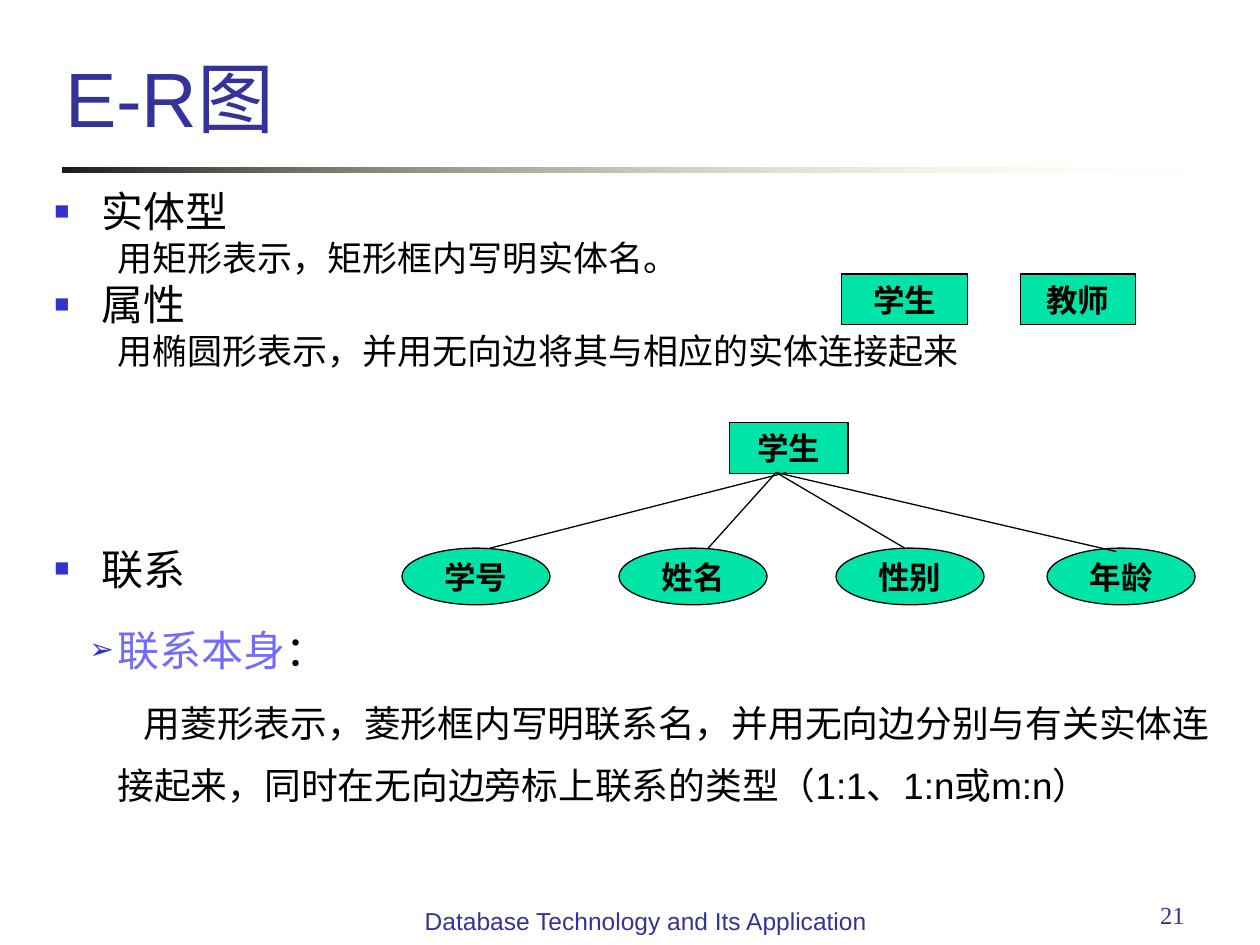
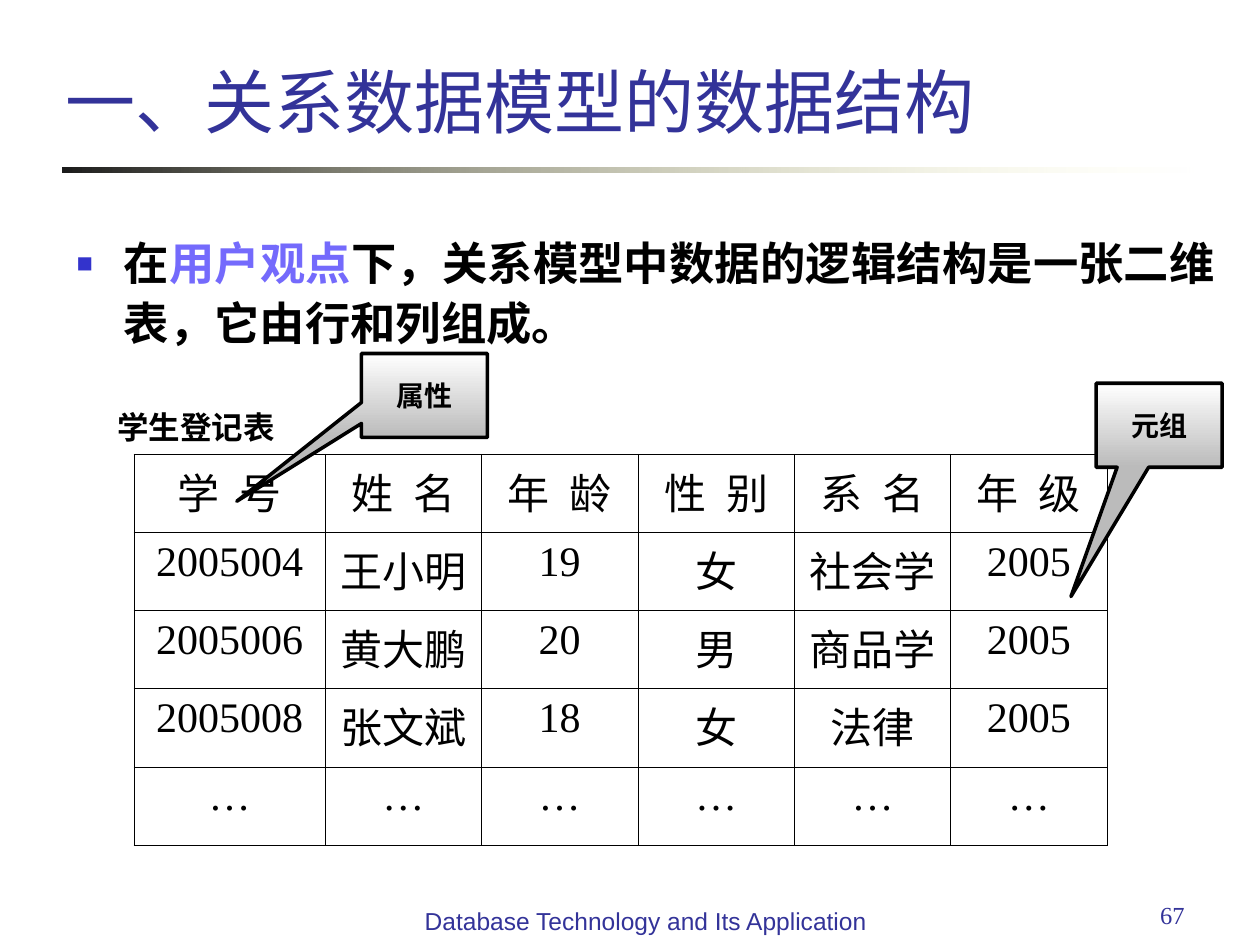
from collections import namedtuple
from dataclasses import dataclass

from lxml.etree import SubElement
from pptx import Presentation
from pptx.dml.color import RGBColor
from pptx.enum.shapes import MSO_CONNECTOR, MSO_SHAPE
from pptx.enum.text import MSO_ANCHOR, PP_ALIGN
from pptx.oxml.ns import qn
from pptx.util import Pt

Box = namedtuple("Box", "left top width height")


@dataclass(frozen=True)
class Theme:
    navy: str = "333399"
    ink: str = "000000"
    accent: str = "746AFC"
    bullet: str = "3333CC"
    node: str = "00E4A8"
    rule: tuple = ("1C1C1C", "FFFFB7")
    callout: tuple = ("FFFFFF", "BBBBBB")
    sans: str = "Arial"
    serif: str = "Times New Roman"
    heading: float = 24
    detail: float = 20
    note: float = 21
    lead: float = 25.9
    label: float = 18
    tag: float = 16
    footer: float = 14


THEME = Theme()
TITLE = Box(30, 0, 632, 85)
RULE = Box(36, 95.6, 648, 3)
NUMBER = Box(516, 510.5, 168, 37)
FOOTER = Box(230, 514, 278, 37)


def in_points(box):
    return [Pt(length) for length in box]


def style(font, size, name=THEME.sans, color=THEME.ink, bold=False):
    font.size, font.name, font.bold = Pt(size), name, bold
    font.color.rgb = RGBColor.from_string(color)


def add_bullet(para, mark, percent, margin, hang):
    props = para._p.get_or_add_pPr()
    props.set("marL", str(Pt(margin)))
    props.set("indent", str(Pt(hang)))
    if not mark:
        SubElement(props, qn("a:buNone"))
        return
    color = SubElement(props, qn("a:buClr"))
    SubElement(color, qn("a:srgbClr"), val=THEME.bullet)
    SubElement(props, qn("a:buSzPct"), val=str(percent * 1000))
    SubElement(props, qn("a:buFont"), typeface=THEME.sans)
    SubElement(props, qn("a:buChar"), char=mark)


def fill_gradient(shape, colors, angle):
    shape.fill.gradient()
    shape.fill.gradient_angle = angle
    for stop, color in zip(shape.fill.gradient_stops, colors):
        stop.color.rgb = RGBColor.from_string(color)


def add_text(page, box, text, size, name, color=THEME.ink, align=PP_ALIGN.CENTER,
             bold=False, wrap=True):
    frame = page.shapes.add_textbox(*in_points(box)).text_frame
    frame.word_wrap = wrap
    para = frame.paragraphs[0]
    para.text, para.alignment = text, align
    style(para.font, size, name, color, bold)


def add_labelled_shape(page, kind, box, text, size, line_width):
    shape = page.shapes.add_shape(kind, *in_points(box))
    shape.shadow.inherit = False
    shape.line.color.rgb = RGBColor.from_string(THEME.ink)
    shape.line.width = Pt(line_width)
    frame = shape.text_frame
    frame.word_wrap = False
    frame.vertical_anchor = MSO_ANCHOR.MIDDLE
    para = frame.paragraphs[0]
    para.text, para.alignment = text, PP_ALIGN.CENTER
    style(para.font, size, THEME.serif, bold=True)
    return shape


def add_page(deck, title, title_size, number):
    """Title, fading rule, footer and page number."""
    page = deck.slides.add_slide(deck.slide_layouts[5])
    holder = page.shapes.title
    holder.left, holder.top, holder.width, holder.height = in_points(TITLE)
    frame = holder.text_frame
    frame.vertical_anchor = MSO_ANCHOR.BOTTOM
    para = frame.paragraphs[0]
    para.text, para.alignment = title, PP_ALIGN.LEFT
    style(para.font, title_size, color=THEME.navy)

    rule = page.shapes.add_shape(MSO_SHAPE.RECTANGLE, *in_points(RULE))
    rule.shadow.inherit = False
    rule.line.fill.background()
    fill_gradient(rule, THEME.rule, 0)
    last_color = rule._element.spPr.findall(".//" + qn("a:srgbClr"))[-1]
    SubElement(last_color, qn("a:alpha"), val="0")

    add_text(page, NUMBER, str(number), THEME.footer, THEME.serif, THEME.navy, PP_ALIGN.RIGHT)
    add_text(page, FOOTER, "Database Technology and Its Application",
             THEME.footer, THEME.sans, THEME.navy)
    return page


# Slide on E-R diagrams
def add_notation(page, box):
    heading = dict(size=THEME.heading, bullet=("■", 60, 27, -27), spacing=0.8)
    detail = dict(size=THEME.detail, bullet=(None, 0, 36, 0), spacing=0.8)
    relation = dict(size=THEME.heading, bullet=("➢", 70, 36, -16), spacing=1.4)
    note = dict(size=THEME.note, bullet=(None, 0, 36, 15), spacing=1.4)
    rows = [
        ("实体型", heading, 0),
        ("用矩形表示，矩形框内写明实体名。", detail, 5),
        ("属性", heading, 6),
        ("用椭圆形表示，并用无向边将其与相应的实体连接起来", detail, 5),
        ("联系", heading, 104),
        ("联系本身：", relation, 6),
        ("用菱形表示，菱形框内写明联系名，并用无向边分别与有关实体连接起来，"
         "同时在无向边旁标上联系的类型（1:1、1:n或m:n）", note, 5.2),
    ]
    frame = page.shapes.add_textbox(*in_points(box)).text_frame
    frame.word_wrap = True
    for index, (text, look, before) in enumerate(rows):
        para = frame.add_paragraph() if index else frame.paragraphs[0]
        add_bullet(para, *look["bullet"])
        para.line_spacing, para.space_before = look["spacing"], Pt(before)
        style(para.font, look["size"])
        if look is relation:
            span = para.add_run()
            span.text = text[:-1]
            span.font.color.rgb = RGBColor.from_string(THEME.accent)
            text = text[-1]
        para.add_run().text = text


def add_node(page, kind, box, text):
    node = add_labelled_shape(page, kind, box, text, THEME.label, 0.75)
    node.fill.solid()
    node.fill.fore_color.rgb = RGBColor.from_string(THEME.node)


def add_edge(page, start, end):
    edge = page.shapes.add_connector(MSO_CONNECTOR.STRAIGHT, *in_points(start + end))
    edge.line.color.rgb = RGBColor.from_string(THEME.ink)
    edge.line.width = Pt(0.75)
    SubElement(edge._element.spPr, qn("a:effectLst"))


def add_attribute_tree(page, box):
    oval_width, oval_height = 84.6, 32.4
    oval_top = box.top + box.height - oval_height
    add_node(page, MSO_SHAPE.RECTANGLE, Box(box.left + 187.2, box.top, 67.7, 29), "学生")
    # Name, oval offset, edge start offset, edge end offset, edge overlap
    attributes = [("学号", 0, 219.6, 50.4, 0), ("姓名", 124, 213.8, 175, 0),
                  ("性别", 248, 213.8, 287.3, 0), ("年龄", 368.6, 213.8, 408.2, 2)]
    for name, offset, *_ in attributes:
        add_node(page, MSO_SHAPE.OVAL,
                 Box(box.left + offset, oval_top, oval_width, oval_height), name)
    for _, _, start, end, overlap in attributes:
        add_edge(page, (box.left + start, box.top + 28.4),
                 (box.left + end, oval_top + overlap))


def build_diagram_page(deck):
    page = add_page(deck, "E-R图", 44, 21)
    add_notation(page, Box(24, 108, 681, 375))
    for text, left, width in [("学生", 481, 72), ("教师", 583, 66)]:
        add_node(page, MSO_SHAPE.RECTANGLE, Box(left, 156.6, width, 29), text)
    add_attribute_tree(page, Box(229.7, 241.6, 453.2, 104))


# Slide on the relational data structure
def add_statement(page, box):
    frame = page.shapes.add_textbox(*in_points(box)).text_frame
    frame.word_wrap = True
    para = frame.paragraphs[0]
    add_bullet(para, "■", 60, 27, -27)
    para.alignment, para.line_spacing = PP_ALIGN.JUSTIFY, 1.1
    style(para.font, THEME.lead, bold=True)
    for text, color in [("在", THEME.ink), ("用户观点", THEME.accent),
                        ("下，关系模型中数据的逻辑结构是一张二维表，它由行和列组成。", THEME.ink)]:
        span = para.add_run()
        span.text = text
        span.font.color.rgb = RGBColor.from_string(color)


def outline_cell(cell):
    props = cell._tc.get_or_add_tcPr()
    for side in ("lnL", "lnR", "lnT", "lnB"):
        line = SubElement(props, qn("a:" + side), w=str(Pt(0.45)))
        fill = SubElement(line, qn("a:solidFill"))
        SubElement(fill, qn("a:srgbClr"), val=THEME.ink)
    cell.fill.background()


def add_student_table(page, box):
    rows = [
        ["学 号", "姓 名", "年 龄", "性 别", "系 名", "年 级"],
        ["2005004", "王小明", "19", "女", "社会学", "2005"],
        ["2005006", "黄大鹏", "20", "男", "商品学", "2005"],
        ["2005008", "张文斌", "18", "女", "法律", "2005"],
        ["…"] * 6,
    ]
    table = page.shapes.add_table(len(rows), len(rows[0]), *in_points(box)).table
    table.first_row = table.horz_banding = False
    first_width = 109.2
    other_width = (box.width - first_width) / (len(rows[0]) - 1)
    for index, column in enumerate(table.columns):
        column.width = Pt(other_width if index else first_width)
    for row_index, row in enumerate(rows):
        table.rows[row_index].height = Pt(box.height / len(rows))
        for column_index, text in enumerate(row):
            cell = table.cell(row_index, column_index)
            outline_cell(cell)
            para = cell.text_frame.paragraphs[0]
            para.text, para.alignment = text, PP_ALIGN.CENTER
            style(para.font, THEME.heading, THEME.serif)
            if row_index == 0:
                para.runs[0]._r.get_or_add_rPr().set("spc", "300")


def add_callout(page, box, text, tip):
    callout = add_labelled_shape(page, MSO_SHAPE.RECTANGULAR_CALLOUT, box, text, THEME.tag, 2)
    fill_gradient(callout, THEME.callout, 270)
    callout.adjustments[0], callout.adjustments[1] = tip


def build_table_page(deck):
    page = add_page(deck, "一、关系数据模型的数据结构", 40, 67)
    add_statement(page, Box(36.7, 128, 664.6, 79))
    add_student_table(page, Box(76.6, 259.5, 556.2, 223.5))
    add_text(page, Box(33, 229.7, 158, 29), "学生登记表", THEME.label, THEME.serif,
             bold=True, wrap=False)
    add_callout(page, Box(206.6, 202, 72, 48), "属性", (-1.49, 1.26))
    add_callout(page, Box(626.4, 219, 72, 48), "元组", (-0.7, 2.04))


def main():
    deck = Presentation()
    deck.slide_width, deck.slide_height = Pt(720), Pt(540)
    build_diagram_page(deck)
    build_table_page(deck)
    deck.save("out.pptx")


if __name__ == "__main__":
    main()
